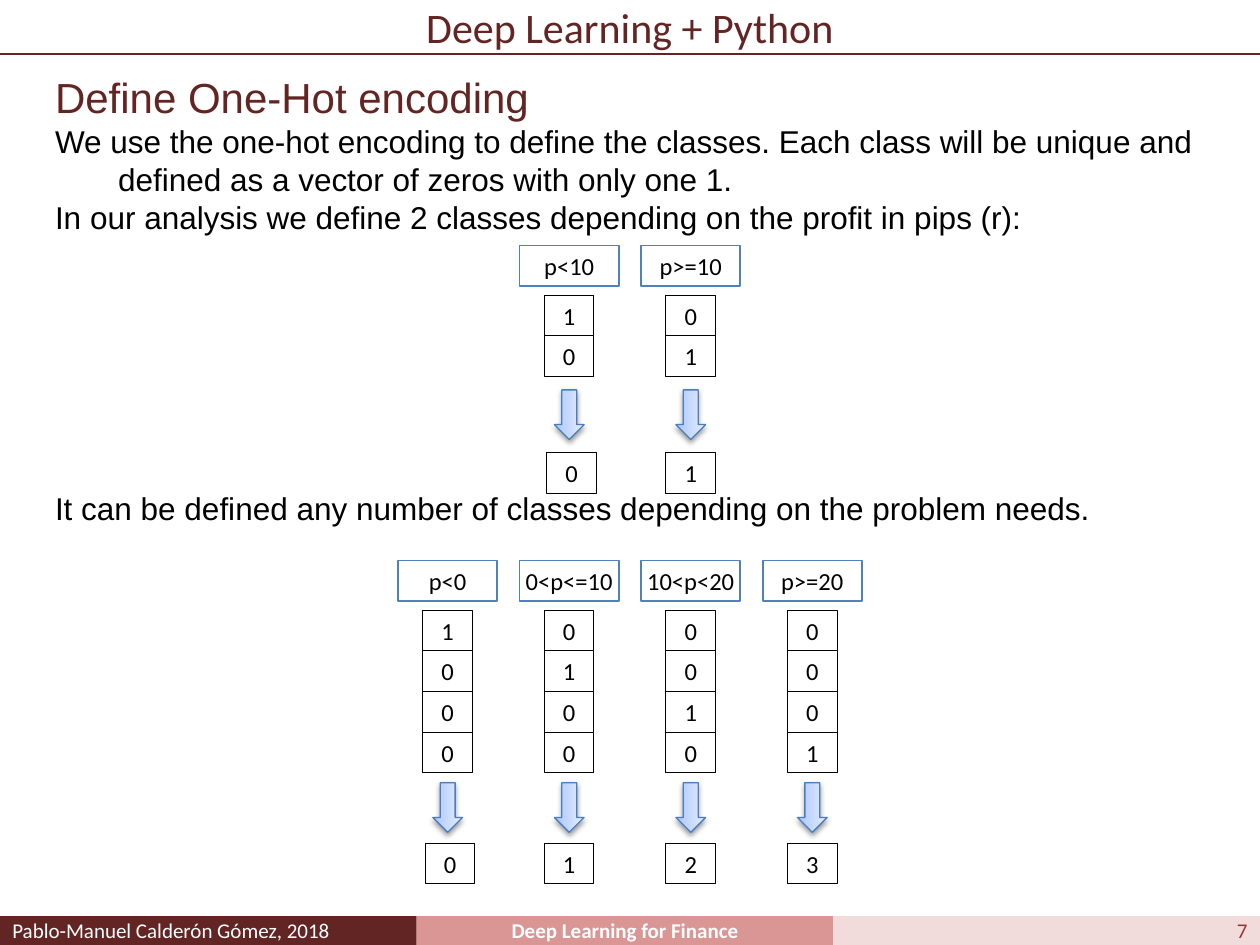
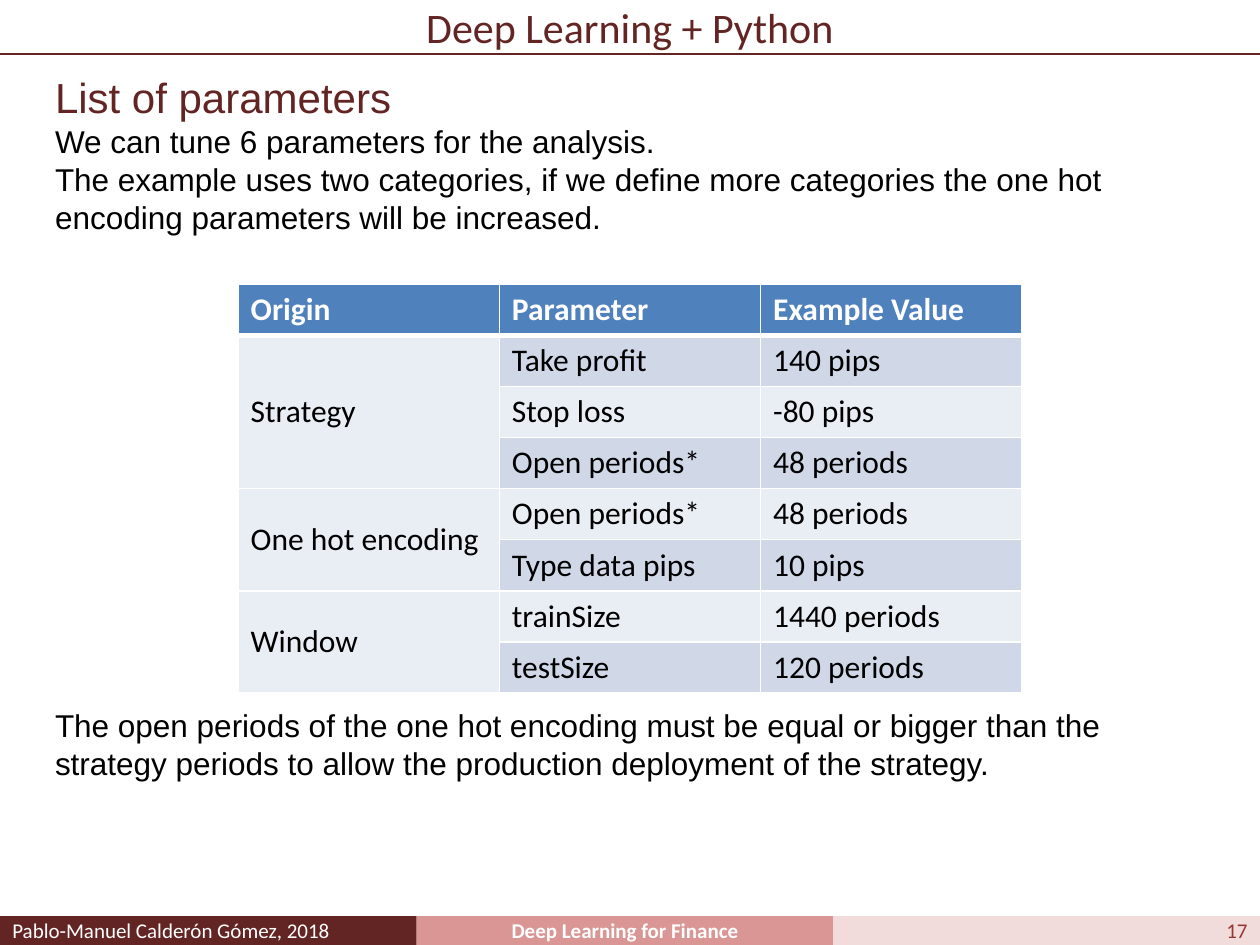
"""Build two slides on one-hot encoding and its parameters."""
from lxml.etree import SubElement
from pptx import Presentation
from pptx.dml.color import RGBColor
from pptx.enum.shapes import MSO_CONNECTOR, MSO_SHAPE
from pptx.enum.text import MSO_ANCHOR, PP_ALIGN
from pptx.oxml.ns import qn
from pptx.util import Cm, Pt

HUES = {
    "wine": "632523", "rose": "D99694", "blush": "F2DCDB", "brick": "953735",
    "white": "FFFFFF", "black": "000000", "blue": "4F81BD", "edge": "4B7EBC",
    "pale": "E9EDF4", "mist": "D0D8E8",
}
SHADES = [(0, "A4C4FF"), (35, "BFD4FF"), (100, "E6EEFF")]
WIDE, HIGH = 25.4, 19.05
LINE = 20.7


def hue(name):
    return RGBColor.from_string(HUES[name])


def put(frame, text, size=18, font="Calibri", color="black", bold=False,
        align=PP_ALIGN.LEFT, hang=0, gap=0):
    par = frame.paragraphs[0]
    if par.runs:
        par = frame.add_paragraph()
    par.alignment = align
    par.space_before = Pt(gap)
    if hang:
        props = par._p.get_or_add_pPr()
        props.set("marL", str(Cm(hang)))
        props.set("indent", str(-Cm(hang)))
    run = par.add_run()
    run.text = text
    run.font.size = Pt(size)
    run.font.name = font
    run.font.bold = bold
    run.font.color.rgb = hue(color)


class Deck:
    def __init__(self):
        self.show = Presentation()
        self.show.slide_width, self.show.slide_height = Cm(WIDE), Cm(HIGH)
        self.slide = None
        self.pool = None

    def start(self, page):
        self.slide = self.show.slides.add_slide(self.show.slide_layouts[6])
        self.pool = self.slide.shapes
        third = 8.4
        feet = [
            ("Pablo-Manuel Calderón Gómez, 2018", "wine", "white", False, PP_ALIGN.JUSTIFY),
            ("Deep Learning for Finance", "rose", "white", True, PP_ALIGN.CENTER),
            (str(page), "blush", "brick", False, PP_ALIGN.RIGHT),
        ]
        for i, (text, fill, color, bold, align) in enumerate(feet):
            width = third if i < 2 else WIDE - 2 * third
            self.box(text, i * third, 18.47, width, 0.58, fill=fill, pad=0.25,
                     size=12, color=color, bold=bold, align=align)
        self.rule(1.09)
        head = self.frame(0, 0, WIDE, 1.09)
        head.vertical_anchor = MSO_ANCHOR.MIDDLE
        put(head, "Deep Learning + Python", size=24, color="wine", align=PP_ALIGN.CENTER)

    def shape(self, kind, left, top, width, height):
        item = self.pool.add_shape(kind, Cm(left), Cm(top), Cm(width), Cm(height))
        item.shadow.inherit = False
        return item

    def box(self, text, left, top, width, height, fill="white", edge=None,
            weight=0.5, pad=0.1, **style):
        item = self.shape(MSO_SHAPE.RECTANGLE, left, top, width, height)
        item.fill.solid()
        item.fill.fore_color.rgb = hue(fill)
        if edge:
            item.line.color.rgb = hue(edge)
            item.line.width = Pt(weight)
        else:
            item.line.fill.background()
        frame = item.text_frame
        frame.vertical_anchor = MSO_ANCHOR.MIDDLE
        frame.margin_left = frame.margin_right = Cm(pad)
        frame.margin_top = frame.margin_bottom = Cm(0.1)
        put(frame, text, **style)

    def rule(self, top):
        line = self.pool.add_connector(MSO_CONNECTOR.STRAIGHT, 0, Cm(top), Cm(WIDE), Cm(top))
        line.line.color.rgb = hue("wine")
        line.line.width = Pt(0.75)
        SubElement(line._element.spPr, qn("a:effectLst"))

    def frame(self, left, top, width, height):
        frame = self.pool.add_textbox(Cm(left), Cm(top), Cm(width), Cm(height)).text_frame
        frame.word_wrap = True
        return frame

    def body(self, title, parts, width):
        frame = self.frame(0.86, 1.32, width, 16.54)
        put(frame, title, size=24, font="Arial", color="wine")
        for text, hang, lines in parts:
            put(frame, text, font="Arial", hang=hang, gap=lines * LINE)

    def arrow(self, mid, level):
        item = self.shape(MSO_SHAPE.RIGHT_ARROW, mid - 0.5, level - 0.3, 1, 0.6)
        item.rotation = 90
        item.line.color.rgb = hue("edge")
        item.line.width = Pt(0.75)
        item.fill.gradient()
        item.fill.gradient_angle = 90
        props = item._element.spPr
        stops = props.find(qn("a:gradFill")).find(qn("a:gsLst"))
        for stop in list(stops):
            stops.remove(stop)
        for place, tone in SHADES:
            stop = SubElement(stops, qn("a:gs"), pos=str(place * 1000))
            SubElement(stop, qn("a:srgbClr"), val=tone)
        cast = SubElement(props.find(qn("a:effectLst")), qn("a:outerShdw"),
                          blurRad=str(Pt(3.1)), dist=str(Pt(1.6)),
                          dir="5400000", rotWithShape="0")
        tone = SubElement(cast, qn("a:srgbClr"), val=HUES["black"])
        SubElement(tone, qn("a:alpha"), val="38000")

    def codes(self, names, top, level, base):
        self.pool = self.slide.shapes.add_group_shape().shapes
        style = {"size": 14, "align": PP_ALIGN.CENTER}
        step, high = 2.45, 0.82
        count = len(names)
        for i, name in enumerate(names):
            mid = WIDE / 2 + step * (i - (count - 1) / 2)
            self.box(name, mid - 1, top, 2, high, edge="blue", weight=1, **style)
            for j in range(count):
                self.box(str(int(i == j)), mid - 0.5, top + 1 + j * high, 1, high,
                         edge="black", **style)
            self.arrow(mid, level)
            nudge = 0.05 if i == 0 else 0
            self.box(str(i), mid - 0.5 + nudge, base, 1, high, edge="black", **style)
        self.pool = self.slide.shapes

    def cell(self, cell, text, fill, foot=1, **style):
        props = cell._tc.get_or_add_tcPr()
        for side, weight in zip("LRTB", (1, 1, 1, foot)):
            line = SubElement(props, qn("a:ln" + side), w=str(Pt(weight)))
            paint = SubElement(line, qn("a:solidFill"))
            SubElement(paint, qn("a:srgbClr"), val=HUES["white"])
        cell.fill.solid()
        cell.fill.fore_color.rgb = hue(fill)
        if text:
            put(cell.text_frame, text, **style)

    def table(self, heads, groups, left, top, width, height):
        count = 1 + sum(len(rows) for _, rows in groups)
        grid = self.pool.add_table(count, len(heads), Cm(left), Cm(top),
                                   Cm(width), Cm(height)).table
        for col, head in enumerate(heads):
            self.cell(grid.cell(0, col), head, "blue", foot=3, color="white", bold=True)
        row = 1
        for name, rows in groups:
            first = grid.cell(row, 0)
            first.merge(grid.cell(row + len(rows) - 1, 0))
            first.vertical_anchor = MSO_ANCHOR.MIDDLE
            for i, pair in enumerate(rows):
                self.cell(grid.cell(row, 0), "" if i else name, "pale")
                for col, text in enumerate(pair, 1):
                    self.cell(grid.cell(row, col), text, "mist" if row % 2 else "pale")
                row += 1


def main():
    deck = Deck()
    deck.start(7)
    deck.body("Define One-Hot encoding", [
        ("We use the one-hot encoding to define the classes. Each class will be unique "
         "and defined as a vector of zeros with only one 1.", 1.27, 0),
        ("In our analysis we define 2 classes depending on the profit in pips (r):", 1.27, 0),
        ("It can be defined any number of classes depending on the problem needs.", 1.27, 7),
    ], 24.6)
    deck.codes(["p<0", "0<p<=10", "10<p<20", "p>=20"], 11.3, 16.28, 17)
    deck.codes(["p<10", "p>=10"], 4.95, 8.36, 9.12)

    deck.start(17)
    deck.body("List of parameters", [
        ("We can tune 6 parameters for the analysis.", 1.27, 0),
        ("The example uses two categories, if we define more categories the one hot "
         "encoding parameters will be increased.", 0, 0),
        ("The open periods of the one hot encoding must be equal or bigger than the "
         "strategy periods to allow the production deployment of the strategy.", 0, 13),
    ], 23.75)
    deck.table(["Origin", "Parameter", "Example Value"], [
        ("Strategy", [("Take profit", "140 pips"), ("Stop loss", "-80 pips"),
                      ("Open periods*", "48 periods")]),
        ("One hot encoding", [("Open periods*", "48 periods"),
                              ("Type data pips", "10 pips")]),
        ("Window", [("trainSize", "1440 periods"), ("testSize", "120 periods")]),
    ], 4.8, 5.73, 15.8, 8.24)
    deck.show.save("out.pptx")


if __name__ == "__main__":
    main()
